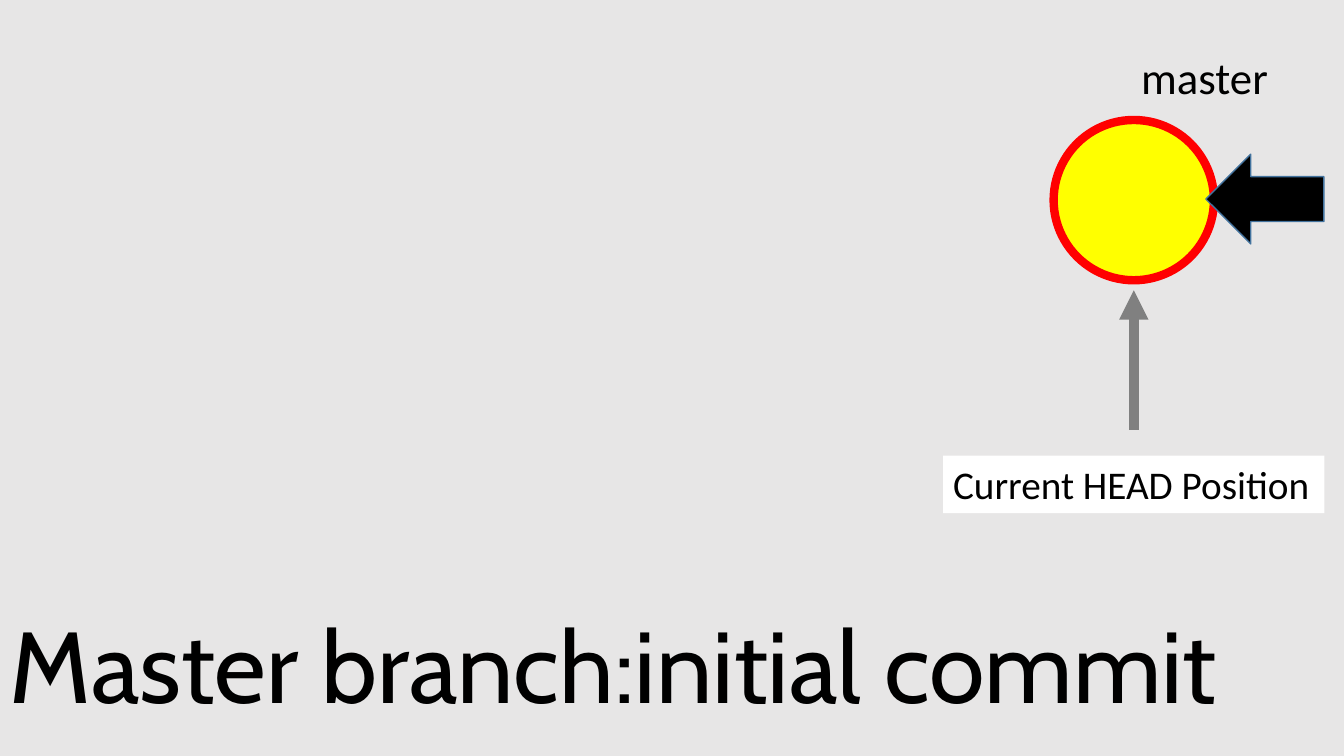
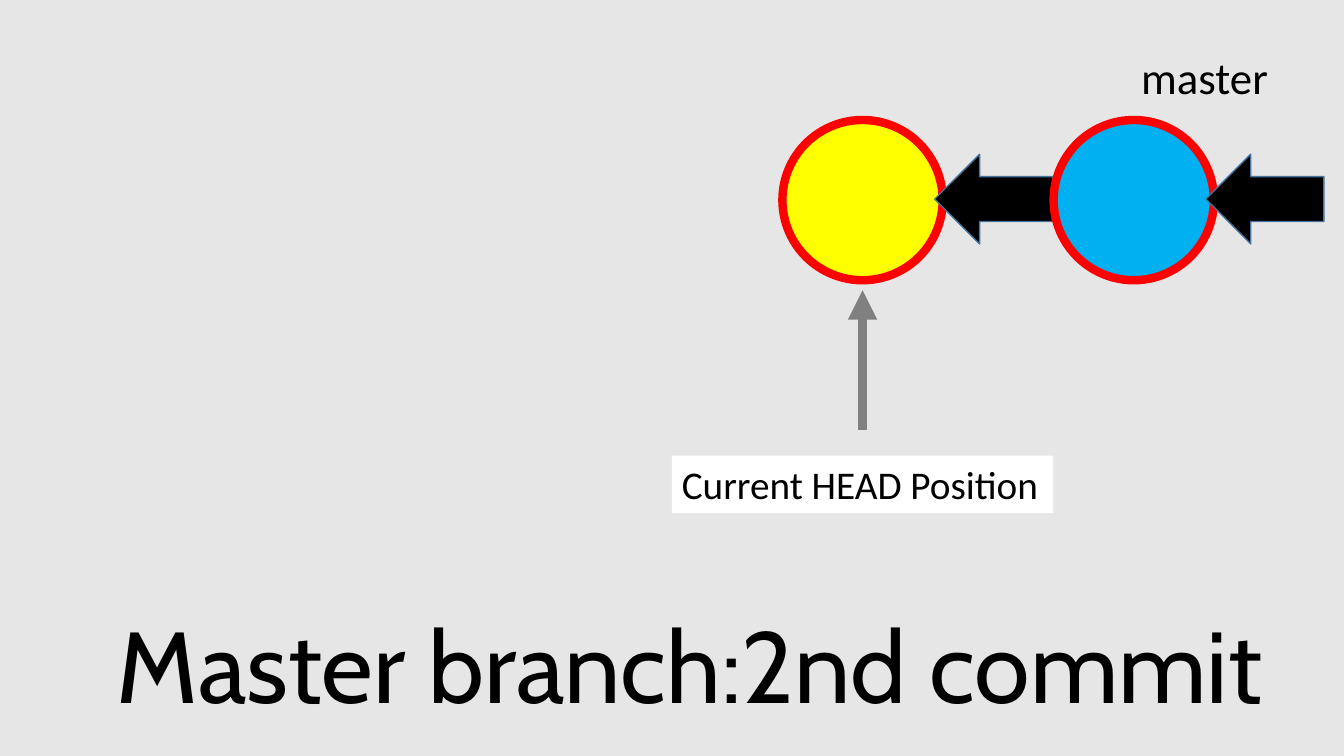
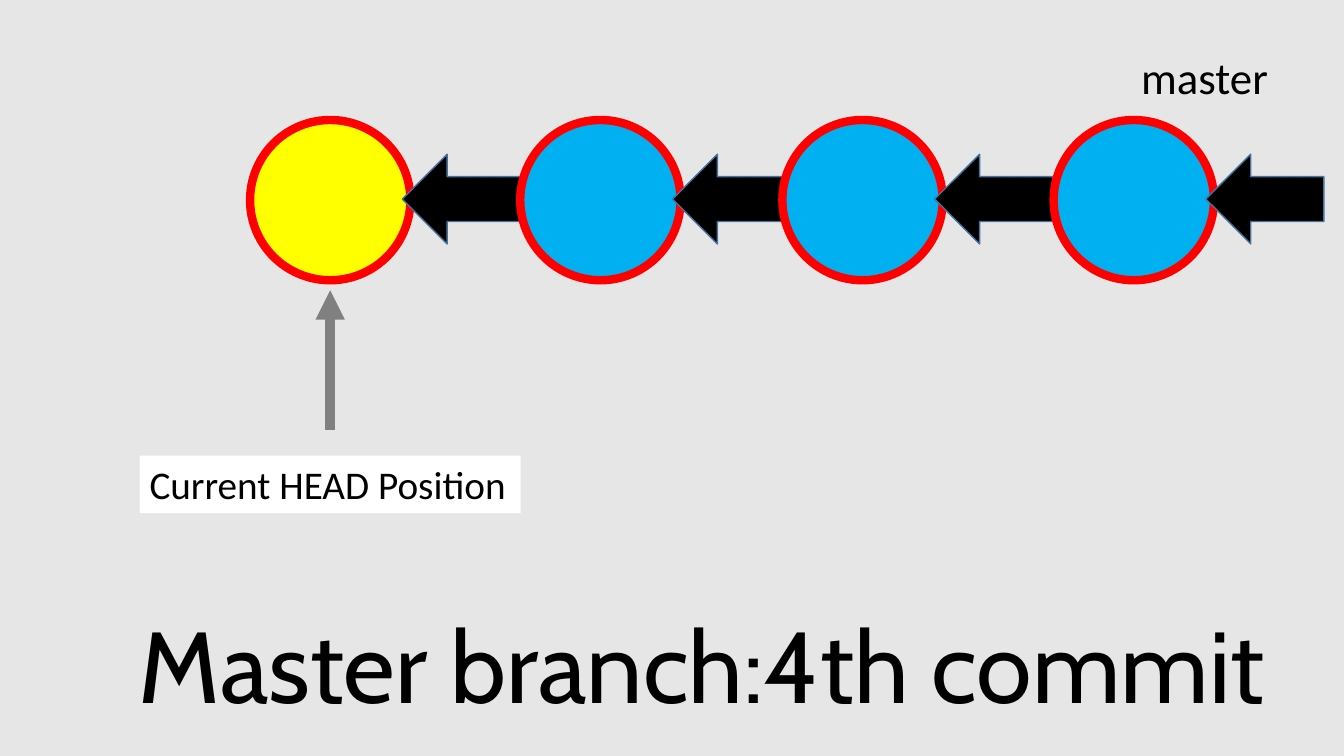
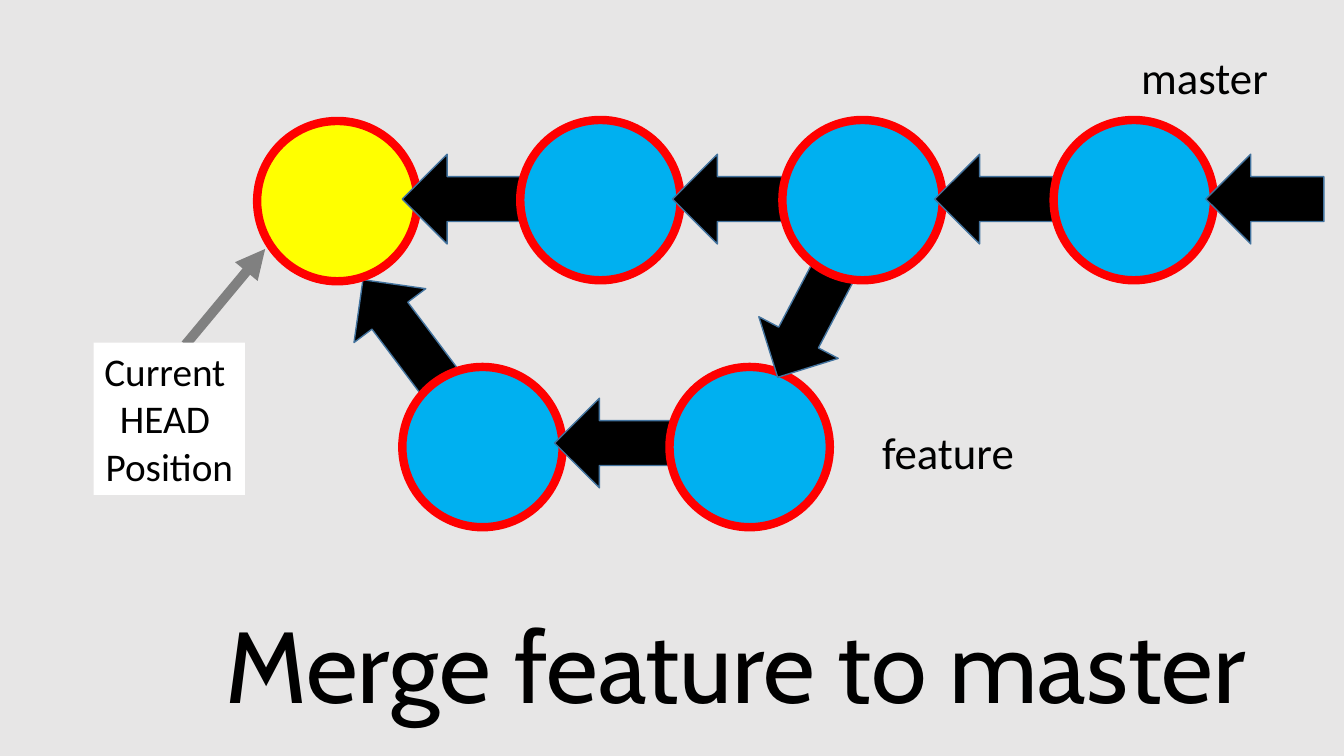
from lxml import etree
from pptx import Presentation
from pptx.dml.color import RGBColor
from pptx.enum import shapes, text
from pptx.oxml.ns import qn
from pptx.util import Inches, Pt

BACKGROUND = RGBColor(0xE7, 0xE6, 0xE6)
BLACK = RGBColor(0, 0, 0)
WHITE = RGBColor(0xFF, 0xFF, 0xFF)
RED = RGBColor(0xFF, 0, 0)
YELLOW = RGBColor(0xFF, 0xFF, 0)
BLUE = RGBColor(0, 0xB0, 0xF0)
ARROW_EDGE = RGBColor(0x43, 0x73, 0x9E)
GRAY = RGBColor(0x80, 0x80, 0x80)

TITLE_FONT = dict(name="Cabin", size=Pt(72))
BRANCH_FONT = dict(name="Calibri", size=Pt(32))
HEAD_FONT = dict(name="Calibri", size=Pt(28))

SLIDE_W, SLIDE_H = 13.33, 7.5
COMMIT_D = 1.59
ARROW_W, ARROW_H = 1.17, 0.89
ARROW_DX, ARROW_DY = 1.51, 0.34   # arrow offset from its commit's corner
MASTER_X, MASTER_Y = (2.48, 5.16, 7.76, 10.45), 1.19
FEATURE_X, FEATURE_Y = (3.99, 6.64), 3.64
HEAD_W = 3.78

# title, title left, number of commits on master
MASTER_SLIDES = [
    ("Master branch:initial commit", 0, 1),
    ("Master branch:2nd commit", 1.06, 2),
    ("Master branch:4th commit", 1.28, 4),
]
MERGE_TITLE = ("Merge feature to master", 2.14)
MERGE_COMMIT = (2.55, 1.2)
MERGE_ARROW = (3.35, 2.83, 1.25, 233.1)
BRANCH_ARROW = (7.4, 2.78, ARROW_W, 117.7)


def add_text(s, content, x, y, w, h, font, fill=None, wrap=False, align=None):
    sp = s.shapes.add_textbox(Inches(x), Inches(y), Inches(w), Inches(h))
    if fill is not None:
        sp.fill.solid()
        sp.fill.fore_color.rgb = fill
    tf = sp.text_frame
    tf.word_wrap = wrap
    tf.auto_size = text.MSO_AUTO_SIZE.SHAPE_TO_FIT_TEXT
    p = tf.paragraphs[0]
    p.text = content
    p.alignment = align
    for r in p.runs:
        for key, value in font.items():
            setattr(r.font, key, value)
        r.font.color.rgb = BLACK


def add_solid(s, kind, x, y, w, h, fill, edge, edge_pt):
    sp = s.shapes.add_shape(kind, Inches(x), Inches(y), Inches(w), Inches(h))
    sp.shadow.inherit = False
    sp.fill.solid()
    sp.fill.fore_color.rgb = fill
    sp.line.color.rgb = edge
    sp.line.width = Pt(edge_pt)
    return sp


def add_commit(s, x, y, fill):
    add_solid(s, shapes.MSO_SHAPE.OVAL, x, y, COMMIT_D, COMMIT_D, fill, RED, 6)


def add_arrow(s, x, y, w=ARROW_W, rotation=180):
    sp = add_solid(s, shapes.MSO_SHAPE.RIGHT_ARROW, x, y, w, ARROW_H,
                   BLACK, ARROW_EDGE, 1)
    sp.rotation = rotation


def add_pointer(s, tip, tail):
    """Draw the gray HEAD pointer with its arrowhead at tip."""
    cx = s.shapes.add_connector(shapes.MSO_CONNECTOR.STRAIGHT,
                                *map(Inches, tip + tail))
    cx.line.color.rgb = GRAY
    cx.line.width = Pt(7)
    etree.SubElement(cx.line._get_or_add_ln(), qn("a:headEnd"), type="triangle")
    etree.SubElement(cx._element.spPr, qn("a:effectLst"))


def add_master(s, count, head=None):
    """Draw the last commits of master, the leftmost one being HEAD."""
    for i, x in enumerate(MASTER_X[-count:]):
        corner = head if head and i == 0 else (x, MASTER_Y)
        add_commit(s, *corner, BLUE if i else YELLOW)
        add_arrow(s, x + ARROW_DX, MASTER_Y + ARROW_DY)
    add_text(s, "master", 11.22, 0.44, 1.47, 0.64, BRANCH_FONT)


def new_slide(prs, title, left):
    s = prs.slides.add_slide(prs.slide_layouts[6])
    add_text(s, title, left, 5.93, SLIDE_W - left, 1.31, TITLE_FONT, wrap=True)
    return s


def master_slide(prs, title, left, count):
    s = new_slide(prs, title, left)
    add_master(s, count)
    center = MASTER_X[-count] + COMMIT_D / 2
    add_pointer(s, (center, 2.88), (center, 4.27))
    add_text(s, "Current HEAD Position", center - HEAD_W / 2, 4.52, HEAD_W, 0.57,
             HEAD_FONT, WHITE)


def merge_slide(prs):
    s = new_slide(prs, *MERGE_TITLE)
    add_arrow(s, *MERGE_ARROW)
    first, second = FEATURE_X
    add_commit(s, first, FEATURE_Y, BLUE)
    add_arrow(s, first + ARROW_DX, 3.95)
    add_commit(s, second, FEATURE_Y, BLUE)
    add_arrow(s, *BRANCH_ARROW)
    add_master(s, len(MASTER_X), MERGE_COMMIT)
    add_pointer(s, (2.63, 2.47), (1.84, 3.42))
    add_text(s, "Current \nHEAD \nPosition", 0.93, 3.4, 1.5, 1.51, HEAD_FONT,
             WHITE, align=text.PP_ALIGN.CENTER)
    add_text(s, "feature", 8.65, 4.16, 1.52, 0.64, BRANCH_FONT)


def main():
    prs = Presentation()
    prs.slide_width, prs.slide_height = Inches(SLIDE_W), Inches(SLIDE_H)
    fill = prs.slide_master.background.fill
    fill.solid()
    fill.fore_color.rgb = BACKGROUND
    for row in MASTER_SLIDES:
        master_slide(prs, *row)
    merge_slide(prs)
    prs.save("out.pptx")


if __name__ == "__main__":
    main()
